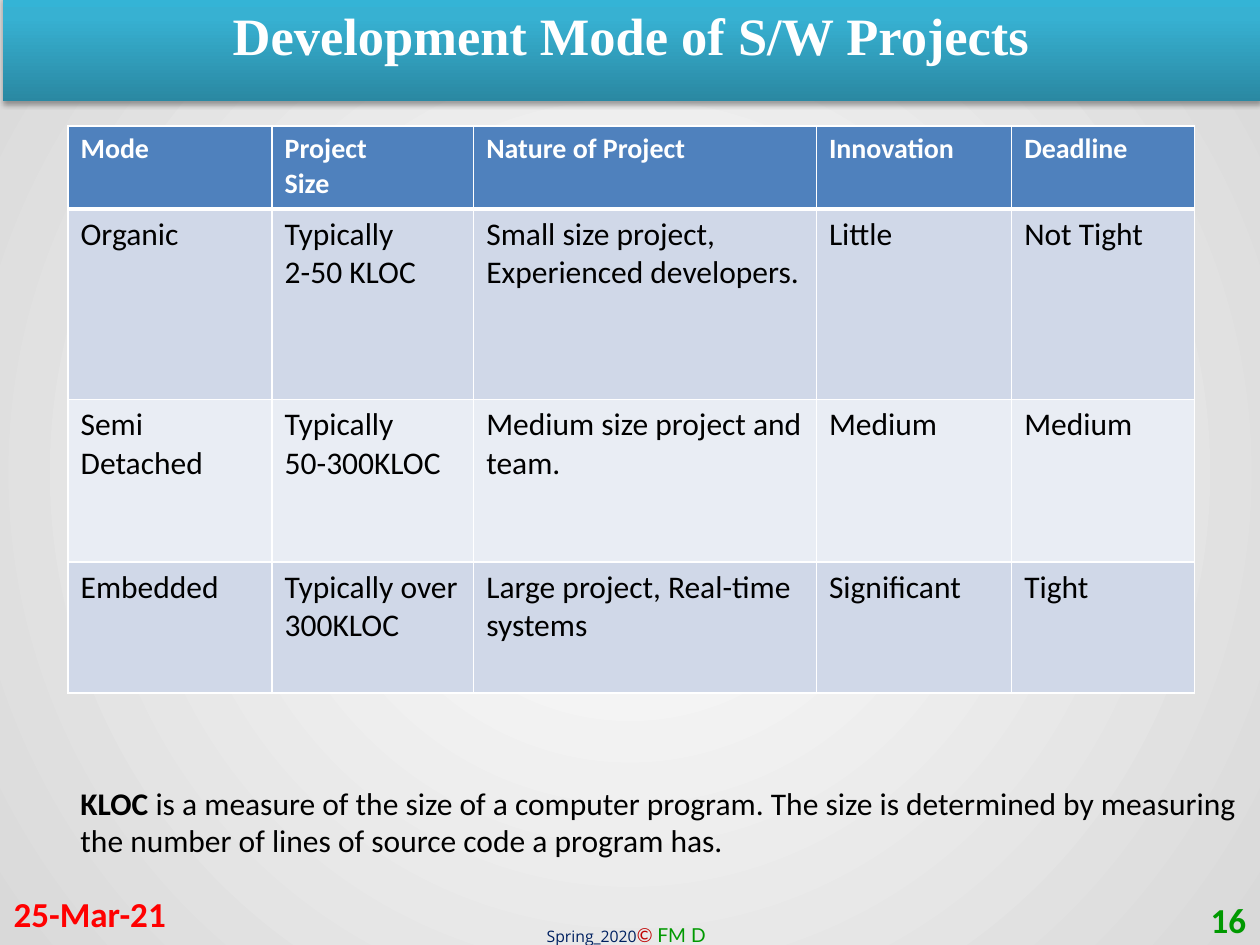
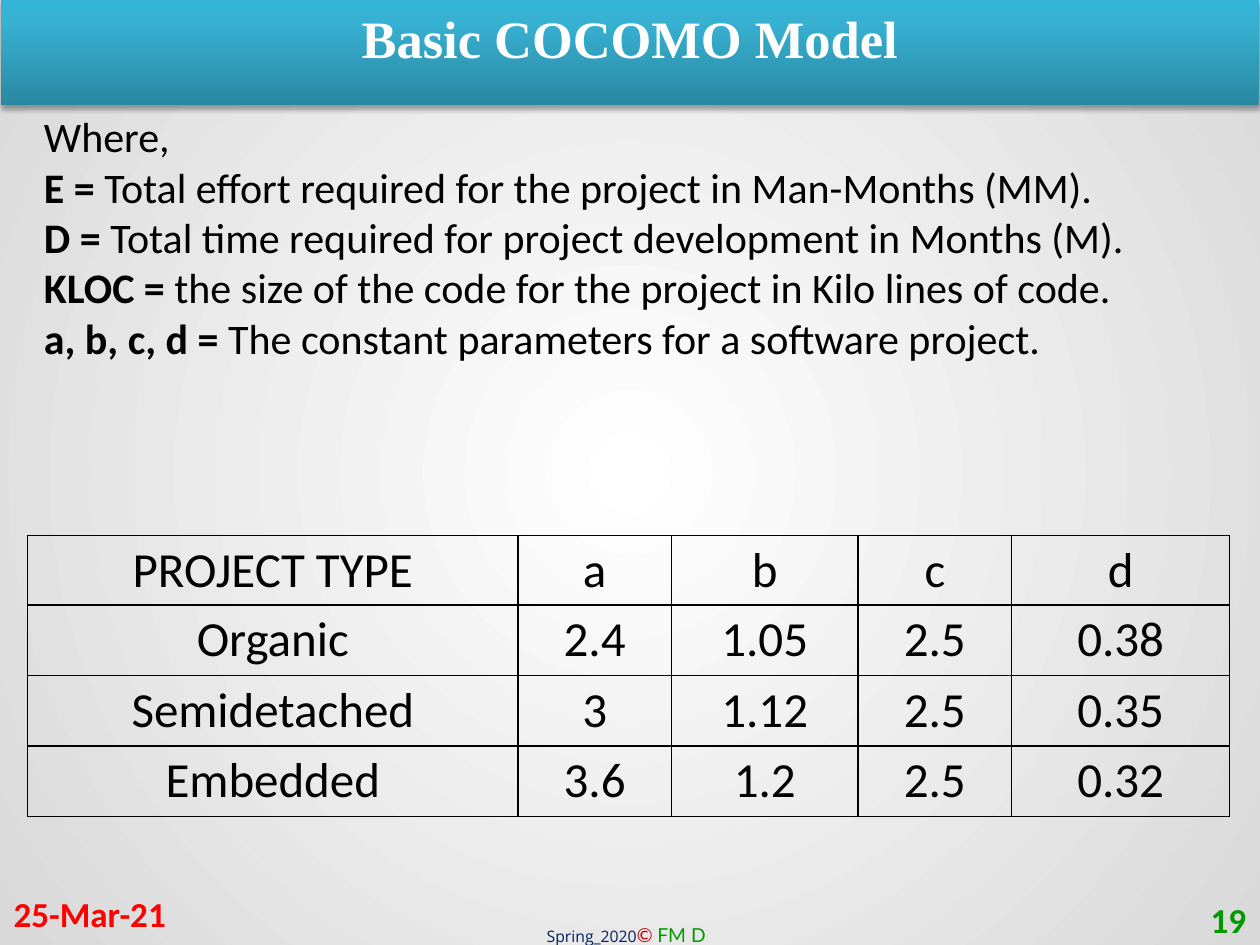
import pptx
import pptx.util
import pptx.dml.color
import pptx.enum.text
import pptx.oxml
import pptx.oxml.ns

Inches, Pt = pptx.util.Inches, pptx.util.Pt
ALIGN = pptx.enum.text.PP_ALIGN
ANCHOR = pptx.enum.text.MSO_ANCHOR
FIT = pptx.enum.text.MSO_AUTO_SIZE

WHITE, BLACK, RED, GREEN = "FFFFFF", "000000", "FF0000", "009900"
HEADER_BLUE, BAND_DARK, BAND_LIGHT = "4F81BD", "D0D8E8", "E9EDF4"
BAR_STOPS = [(0, "2A88A2"), (80, "37B1D2"), (100, "34B4D6")]
BACK_STOPS = [(0, "FFFFFF"), (100, "D9D9D9")]
NS = pptx.oxml.ns.nsdecls("a", "p")


def rgb(color):
    return pptx.dml.color.RGBColor.from_string(color)


def solid(color):
    return f'<a:solidFill><a:srgbClr val="{color}"/></a:solidFill>'


def gradient(stops, direction):
    gs = "".join(f'<a:gs pos="{pos * 1000}"><a:srgbClr val="{c}"/></a:gs>'
                 for pos, c in stops)
    return f'<a:gradFill {NS} rotWithShape="1"><a:gsLst>{gs}</a:gsLst>{direction}</a:gradFill>'


class Deck:
    """Holds the shared style and the slide being built."""

    def __init__(self):
        self.prs = pptx.Presentation()
        self.prs.slide_width, self.prs.slide_height = Inches(10), Inches(7.5)
        self.s = None

    def slide(self, title, number, bar):
        self.s = self.prs.slides.add_slide(self.prs.slide_layouts[5])
        self.background()
        self.title(title, bar)
        self.footer(number)

    def background(self):
        centre = '<a:path path="circle"><a:fillToRect l="50000" t="50000" r="50000" b="50000"/></a:path>'
        bg = pptx.oxml.parse_xml(f'<p:bg {NS}><p:bgPr>{gradient(BACK_STOPS, centre)}'
                                 '<a:effectLst/></p:bgPr></p:bg>')
        self.s.element.cSld.insert(0, bg)

    def place(self, sp, box):
        sp.left, sp.top, sp.width, sp.height = (Inches(v) for v in box)

    def title(self, text, box):
        sp = self.s.shapes.title
        self.place(sp, box)
        props = sp.element.spPr
        props.append(pptx.oxml.parse_xml(f'<a:prstGeom {NS} prst="rect"><a:avLst/></a:prstGeom>'))
        props.append(pptx.oxml.parse_xml(gradient(BAR_STOPS, '<a:lin ang="16200000" scaled="0"/>')))
        props.append(pptx.oxml.parse_xml(
            f'<a:effectLst {NS}><a:outerShdw blurRad="{Pt(3.1)}" dist="{Pt(1.8)}" dir="5400000" '
            f'rotWithShape="0"><a:srgbClr val="{BLACK}"><a:alpha val="35000"/></a:srgbClr>'
            '</a:outerShdw></a:effectLst>'))
        tf = sp.text_frame
        tf.word_wrap, tf.auto_size = True, FIT.SHAPE_TO_FIT_TEXT
        tf.vertical_anchor = ANCHOR.TOP
        self.fill_text(tf, [[(text, {"bold": True})]], ALIGN.CENTER,
                       size=30, font="Times New Roman", color=WHITE)

    def footer(self, number):
        # Credit, date and slide number
        self.text([4.24, 7.28, 1.51, 0.29],
                  [[("Spring_2020", {"size": 9, "font": "Open Sans", "color": "002060"}),
                    ("© ", {"color": "C00000", "italic": True}),
                    ("FM D", {"color": GREEN})]],
                  wrap=False, size=11, font="Lato")
        self.text([0.01, 7.05, 2.33, 0.4], [["25-Mar-21"]], anchor=ANCHOR.MIDDLE,
                  size=20, color=RED, bold=True)
        self.text([7.66, 7.1, 2.33, 0.4], [[number]], ALIGN.RIGHT, anchor=ANCHOR.MIDDLE,
                  size=20, color=GREEN, bold=True)

    def text(self, box, paragraphs, align=ALIGN.LEFT, anchor=ANCHOR.TOP, wrap=True, **style):
        tf = self.s.shapes.add_textbox(*(Inches(v) for v in box)).text_frame
        tf.word_wrap, tf.vertical_anchor = wrap, anchor
        self.fill_text(tf, paragraphs, align, **style)

    def fill_text(self, tf, paragraphs, align=ALIGN.LEFT, **style):
        """Each paragraph is a list of runs: a string, or (string, style changes)."""
        for i, runs in enumerate(paragraphs):
            p = tf.add_paragraph() if i else tf.paragraphs[0]
            p.alignment = align
            for run in runs:
                text, changes = (run, {}) if isinstance(run, str) else run
                self.run(p, text, **{**style, **changes})

    def run(self, p, text, size=18, font="Calibri", color=BLACK, bold=False, italic=False):
        r = p.add_run()
        r.text = text
        r.font.size, r.font.name = Pt(size), font
        r.font.bold, r.font.italic = bold, italic
        r.font.color.rgb = rgb(color)

    def table(self, corner, cols, heights, rows):
        box = [*corner, sum(cols), sum(heights)]
        tbl = self.s.shapes.add_table(len(rows), len(cols), *(Inches(v) for v in box)).table
        tbl.first_row = tbl.horz_banding = False
        for col, width in zip(tbl.columns, cols):
            col.width = Inches(width)
        for row, height in zip(tbl.rows, heights):
            row.height = Inches(height)
        return tbl

    def cell(self, cell, text, fill=None, align=ALIGN.LEFT, border=BLACK, top=1, bottom=1, **style):
        if fill:
            cell.fill.solid()
            cell.fill.fore_color.rgb = rgb(fill)
        else:
            cell.fill.background()
        widths = {"L": 1, "R": 1, "T": top, "B": bottom}
        for i, (side, width) in enumerate(widths.items()):
            line = pptx.oxml.parse_xml(f'<a:ln{side} {NS} w="{Pt(width)}">{solid(border)}</a:ln{side}>')
            cell._tc.get_or_add_tcPr().insert(i, line)
        self.fill_text(cell.text_frame, [[t] for t in text.split("\n")], align, **style)


def development_modes(deck):
    deck.slide("Development Mode of S/W Projects", "16", [0.02, -0.03, 9.98, 0.61])

    # Comparison of the modes
    rows = [
        ["Mode", "Project\nSize", "Nature of Project", "Innovation", "Deadline"],
        ["Organic", "Typically\n2-50 KLOC", "Small size project, Experienced developers.",
         "Little", "Not Tight"],
        ["Semi Detached", "Typically\n50-300KLOC", "Medium size project and team.",
         "Medium", "Medium"],
        ["Embedded", "Typically over 300KLOC", "Large project, Real-time systems",
         "Significant", "Tight"],
    ]
    tbl = deck.table([0.54, 1], [1.62, 1.6, 2.72, 1.55, 1.45], [0.66, 1.51, 1.29, 1.04], rows)
    for i, row in enumerate(rows):
        if i == 0:
            look = dict(fill=HEADER_BLUE, bottom=3, size=16, color=WHITE, bold=True)
        else:
            look = dict(fill=BAND_DARK if i % 2 else BAND_LIGHT, top=3 if i == 1 else 1)
        for j, text in enumerate(row):
            deck.cell(tbl.cell(i, j), text, border=WHITE, **look)

    # Definition of KLOC
    deck.text([0.54, 6.17, 9.42, 0.71],
              [[("KLOC", {"bold": True}),
                " is a measure of the size of a computer program. The size is determined by "
                "measuring the number of lines of source code a program has."]])


def basic_cocomo(deck):
    deck.slide("Basic COCOMO Model", "19", [0.01, 0, 9.98, 0.61])

    # Meaning of the symbols
    symbols = [
        ("E =", " Total effort required for the project in Man-Months (MM)."),
        ("D =", " Total time required for project development in Months (M)."),
        ("KLOC =", " the size of the code for the project in Kilo lines of code."),
        ("a, b, c, d =", " The constant parameters for a software project."),
    ]
    deck.text([0.25, 0.83, 9.58, 2.12],
              [["Where,"]] + [[(name, {"bold": True}), meaning] for name, meaning in symbols],
              size=24)

    # Constants by project type
    rows = [
        ["PROJECT TYPE", "a", "b", "c", "d"],
        ["Organic", "2.4", "1.05", "2.5", "0.38"],
        ["Semidetached", "3", "1.12", "2.5", "0.35"],
        ["Embedded", "3.6", "1.2", "2.5", "0.32"],
    ]
    tbl = deck.table([0.22, 4.25], [3.89, 1.22, 1.48, 1.22, 1.73], [0.55] + [0.56] * 3, rows)
    for i, row in enumerate(rows):
        for j, text in enumerate(row):
            cell = tbl.cell(i, j)
            cell.vertical_anchor = ANCHOR.MIDDLE
            cell.margin_left = cell.margin_right = Inches(0.08)
            cell.margin_top = cell.margin_bottom = Inches(0.04)
            deck.cell(cell, text, align=ALIGN.CENTER, size=28)


def main():
    deck = Deck()
    development_modes(deck)
    basic_cocomo(deck)
    deck.prs.save("out.pptx")


if __name__ == "__main__":
    main()
